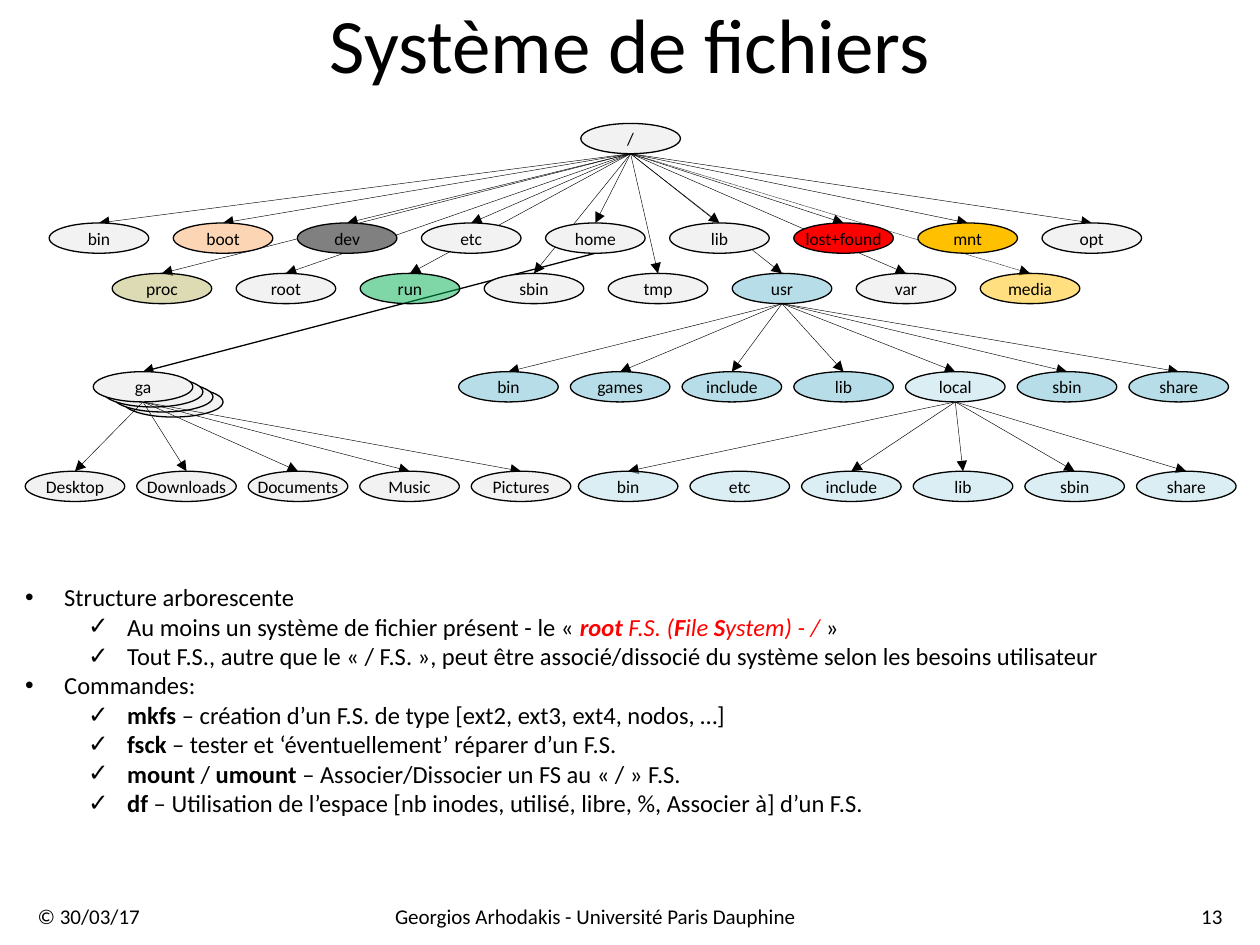
from lxml.etree import SubElement as Sub
from pptx import Presentation
from pptx.dml.color import RGBColor
from pptx.enum.dml import MSO_LINE as Dash
from pptx.enum.shapes import MSO_CONNECTOR as Conn, MSO_SHAPE as Kind
from pptx.enum.text import MSO_ANCHOR as Anchor, MSO_AUTO_SIZE as Auto, PP_ALIGN as Align
from pptx.oxml.ns import qn
from pptx.util import Inches, Pt

BLACK = RGBColor(0x00, 0x00, 0x00)
RED = RGBColor(0xFF, 0x00, 0x00)
PALE = RGBColor(0xF2, 0xF2, 0xF2)
GRAY = RGBColor(0x80, 0x80, 0x80)
PEACH = RGBColor(0xFC, 0xD5, 0xB5)
GOLD = RGBColor(0xFF, 0xC0, 0x00)
OLIVE = RGBColor(0xBB, 0xB9, 0x6B)
GREEN = RGBColor(0x00, 0xB0, 0x50)
BLUE = RGBColor(0xB7, 0xDE, 0xE8)

WIDE, HIGH = 0.79, 0.24
FLAT = dict(margin_left=0, margin_right=0, margin_top=0, margin_bottom=0)
ROOT = (4.61, 0.98)
ROWS = {
    "top": (0.39, 8.27, 1.77, "bin boot dev etc home lib lost+found mnt opt"),
    "low": (0.89, 7.78, 2.17, "proc root run sbin tmp usr var media"),
    "usr": (3.64, 8.96, 2.95, "bin games include lib local sbin share"),
    "local": (4.59, 9.02, 3.74, "bin etc include lib sbin share"),
    "ga": (0.2, 3.74, 3.74, "Desktop Downloads Documents Music Pictures"),
}
BASE = {"top": (PALE, 0.75, 100), "low": (PALE, 0.75, 100), "usr": (BLUE, 0, 100),
        "local": (BLUE, 0, 50), "ga": (PALE, 0, 100)}
LOOK = {
    ("top", "boot"): (PEACH, 0.75, 100), ("top", "dev"): (GRAY, 0, 100),
    ("top", "lost+found"): (RED, 0.75, 100), ("top", "mnt"): (GOLD, 0.75, 100),
    ("low", "proc"): (OLIVE, 0, 50), ("low", "run"): (GREEN, 0, 50),
    ("low", "usr"): (BLUE, 0.75, 100), ("low", "media"): (GOLD, 0, 50),
    ("usr", "local"): (BLUE, 0, 50),
}
BOLD = dict(bold=True)
HOT = dict(italic=True)
HOTB = dict(italic=True, bold=True)
LIST = [
    (0, [("Structure arborescente", {})]),
    (1, [("Au moins un système de fichier présent - le « ", {}), ("root", HOTB),
         (" F.S. (", HOT), ("F", HOTB), ("ile ", HOT), ("S", HOTB),
         ("ystem) - /", HOT), (" »", {})]),
    (1, [("Tout F.S., autre que le « / F.S. », peut être associé/dissocié "
          "du système selon les besoins utilisateur", {})]),
    (0, [("Commandes:", {})]),
    (1, [("mkfs", BOLD), (" – création d’un F.S. de type [ext2, ext3, ext4, nodos, …]", {})]),
    (1, [("fsck", BOLD), (" – tester et ‘éventuellement’ réparer d’un F.S.", {})]),
    (1, [("mount", BOLD), (" / ", {}), ("umount", BOLD),
         (" – Associer/Dissocier un FS au « / » F.S.", {})]),
    (1, [("df", BOLD), (" – Utilisation de l’espace [nb inodes, utilisé, libre, %, "
                        "Associer à] d’un F.S.", {})]),
]


def assign(item, form):
    """Set each attribute named in form."""
    for name, value in form.items():
        setattr(item, name, value)


def place(item, left, top, width, height):
    """Move and size a shape, in inches."""
    box = dict(left=left, top=top, width=width, height=height)
    assign(item, {name: Inches(value) for name, value in box.items()})


def write(para, text, size, form=None, color=BLACK):
    """Add one formatted run to a paragraph."""
    run = para.add_run()
    run.text = text
    assign(run.font, dict(name="Calibri", size=Pt(size), **(form or {})))
    run.font.color.rgb = color


def label(item, text, size, align, form):
    """Put one line of text in a shape."""
    frame = item.text_frame
    assign(frame, dict(word_wrap=True, vertical_anchor=Anchor.MIDDLE, **form))
    frame.paragraphs[0].alignment = align
    write(frame.paragraphs[0], text, size)


def node(slide, spot, look, text=""):
    """Draw one directory as an ellipse."""
    color, width, alpha = look
    oval = slide.shapes.add_shape(Kind.OVAL, *map(Inches, (*spot, WIDE, HIGH)))
    oval.shadow.inherit = False
    oval.fill.solid()
    oval.fill.fore_color.rgb = color
    if alpha < 100:
        tint = oval.fill._xPr.find(qn("a:solidFill"))[0]
        Sub(tint, qn("a:alpha"), val=str(alpha * 1000))
    oval.line.color.rgb = BLACK
    oval.line.width = Pt(width)
    if text:
        label(oval, text, 10, Align.CENTER, FLAT)
        oval.text_frame.word_wrap = len(text) < 9


def link(slide, start, end, width=0.25, dash=None):
    """Draw an arrow from the bottom of one node to the top of another."""
    mid = WIDE / 2
    ends = (start[0] + mid, start[1] + HIGH, end[0] + mid, end[1])
    wire = slide.shapes.add_connector(Conn.STRAIGHT, *map(Inches, ends))
    wire.line.color.rgb = BLACK
    assign(wire.line, dict(width=Pt(width), dash_style=dash))
    Sub(wire.line._get_or_add_ln(), qn("a:tailEnd"), type="triangle")
    Sub(wire._element.spPr, qn("a:effectLst"))


def layout():
    """Return the place of each node, spaced evenly along its row."""
    spots = {}
    for row, (first, last, top, text) in ROWS.items():
        names = text.split()
        step = (last - first) / (len(names) - 1)
        for i, name in enumerate(names):
            spots[row, name] = (first + i * step, top)
    return spots


def tree(slide):
    """Draw the directory tree."""
    spots = layout()
    user = (0.74, 2.95)
    heads = {"top": ROOT, "low": ROOT, "usr": spots["low", "usr"],
             "local": spots["usr", "local"], "ga": user}
    for i in (3, 2, 1):
        node(slide, (user[0] + 0.08 * i, user[1] + 0.04 * i), BASE["ga"])
    link(slide, spots["top", "home"], user, 0.75)
    for key, spot in spots.items():
        if key != ("local", "etc"):
            dash = Dash.ROUND_DOT if key == ("low", "media") else None
            link(slide, heads[key[0]], spot, dash=dash)
    node(slide, ROOT, BASE["top"], "/")
    node(slide, user, BASE["ga"], "ga")
    for key, spot in spots.items():
        node(slide, spot, LOOK.get(key, BASE[key[0]]), key[1])


def points(body):
    """Fill the body with the two-level list."""
    frame = body.text_frame
    assign(frame, dict(auto_size=Auto.NONE, word_wrap=True,
                       vertical_anchor=Anchor.TOP, **FLAT))
    for i, (level, runs) in enumerate(LIST):
        para = frame.add_paragraph() if i else frame.paragraphs[0]
        assign(para, dict(level=level, space_before=Pt(0), space_after=Pt(0)))
        props = para._p.get_or_add_pPr()
        props.set("marL", str(Inches((0.31, 0.81)[level])))
        props.set("indent", str(Inches(-0.31)))
        Sub(props, qn("a:buFont"), typeface="Arial")
        Sub(props, qn("a:buChar"), char="•✓"[level])
        for text, form in runs:
            write(para, text, 14, form, RED if "italic" in form else BLACK)


def footer(slide):
    """Add the date, the author and the page number."""
    for left, width, align, text in (
        (0.2, 1.18, Align.LEFT, "© 30/03/17"),
        (1.38, 6.69, Align.CENTER, "Georgios Arhodakis - Université Paris Dauphine"),
        (9.41, 0.39, Align.RIGHT, "13"),
    ):
        box = slide.shapes.add_textbox(*map(Inches, (left, 7.17, width, 0.2)))
        label(box, text, 12, align, {})


def main():
    """Build the slide and save it."""
    deck = Presentation()
    assign(deck, dict(slide_width=Inches(10), slide_height=Inches(7.5)))
    slide = deck.slides.add_slide(deck.slide_layouts[1])
    title, body = slide.placeholders
    place(title, 0, 0, 10, 0.67)
    label(title, "Système de fichiers", 44, Align.CENTER, dict(auto_size=Auto.NONE, **FLAT))
    place(body, 0.2, 4.62, 9.61, 1.88)
    points(body)
    tree(slide)
    footer(slide)
    deck.save("out.pptx")


if __name__ == "__main__":
    main()
